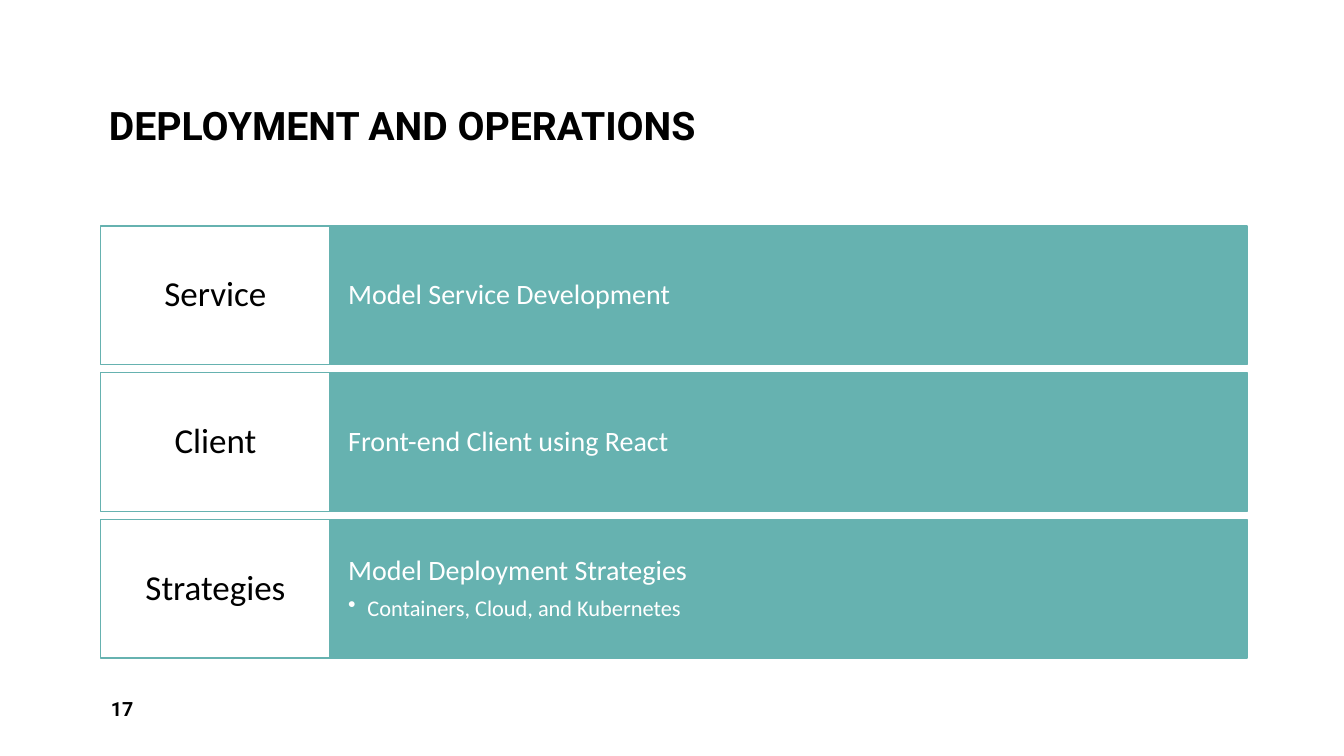
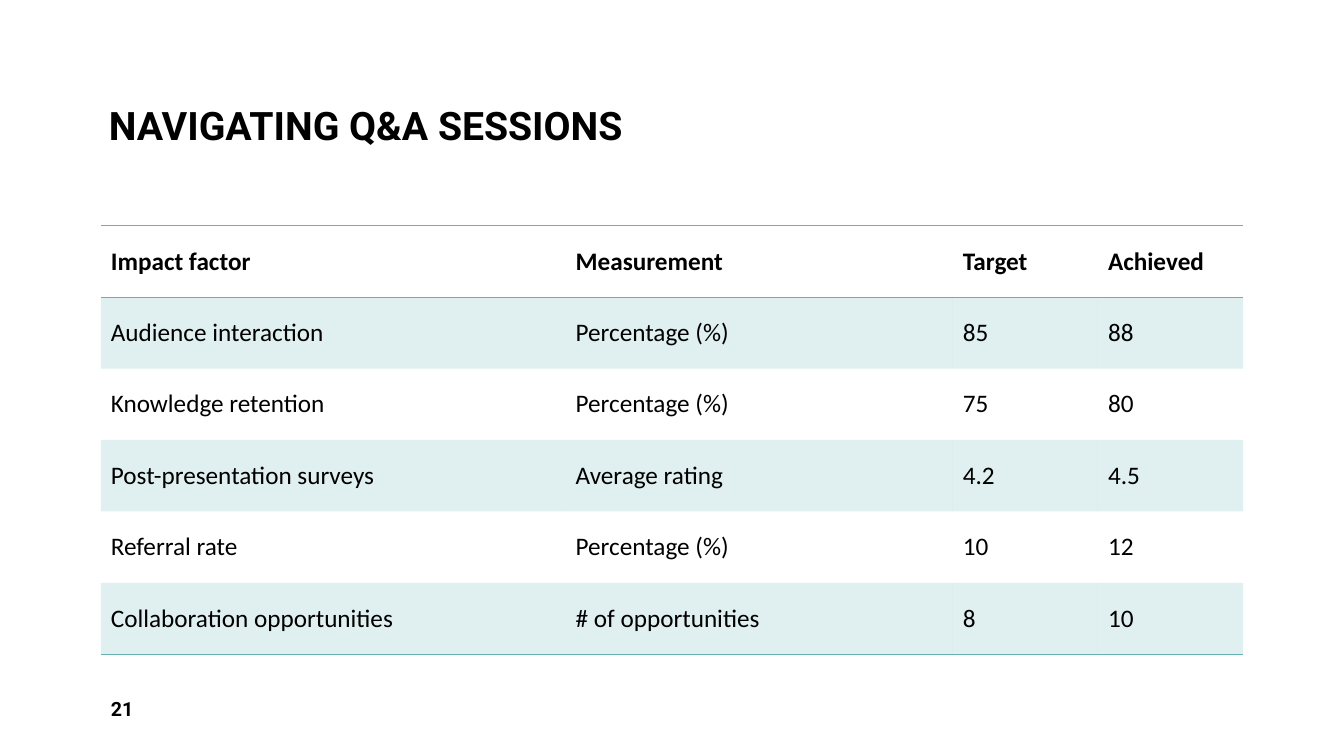
from dataclasses import dataclass

from lxml import etree
from pptx import Presentation
from pptx.dml.color import RGBColor
from pptx.enum.shapes import MSO_SHAPE
from pptx.enum.text import MSO_ANCHOR, MSO_AUTO_SIZE, PP_ALIGN
from pptx.oxml.ns import qn
from pptx.util import Inches, Pt

RECTANGLE = MSO_SHAPE.RECTANGLE
MIDDLE, BOTTOM = MSO_ANCHOR.MIDDLE, MSO_ANCHOR.BOTTOM
LEFT, CENTER = PP_ALIGN.LEFT, PP_ALIGN.CENTER
NO_GRID_STYLE = "{2D5ABB26-0587-4C30-8999-92F81FD0307C}"


@dataclass(frozen=True)
class Theme:
    teal: RGBColor = RGBColor(0x66, 0xB2, 0xB0)
    black: RGBColor = RGBColor(0, 0, 0)
    white: RGBColor = RGBColor(255, 255, 255)
    band_alpha: int = 20
    heading_font: str = "Roboto"
    body_font: str = "Calibri"
    title: int = 28
    label: int = 25
    topic: int = 20
    table: int = 18
    detail: int = 16
    number: int = 14
    line: int = 1


THEME = Theme()

# Body grid, in inches
MARGIN, TOP = 1, 2.24
BODY_WIDTH, BODY_HEIGHT = 11.37, 4.29
GAP = 0.08


def set_font(paragraph, size, color, name=THEME.body_font, bold=False):
    font = paragraph.font
    font.name, font.size, font.bold = name, Pt(size), bold
    font.color.rgb = color


def add_page(title, number):
    """Add a slide with its title and page number."""
    page = deck.slides.add_slide(deck.slide_layouts[5])
    heading = page.shapes.title
    heading.left, heading.top = Inches(0.98), Inches(0.08)
    heading.width, heading.height = Inches(11.38), Inches(1.45)
    footer = page.shapes.add_textbox(
        Inches(MARGIN), Inches(6.83), Inches(2.92), Inches(0.4))
    for box, text, size, anchor in (
            (heading, title, THEME.title, BOTTOM),
            (footer, number, THEME.number, MIDDLE)):
        frame = box.text_frame
        frame.text = text
        frame.word_wrap = True
        frame.auto_size = MSO_AUTO_SIZE.NONE
        frame.vertical_anchor = anchor
        para = frame.paragraphs[0]
        para.alignment = LEFT
        set_font(para, size, THEME.black, THEME.heading_font, True)
    heading.text_frame.paragraphs[0].line_spacing = 0.9
    return page


deck = Presentation()
deck.slide_width, deck.slide_height = Inches(13.33), Inches(7.5)

# Deployment: a label and its topic in each row
page = add_page("DEPLOYMENT AND OPERATIONS", "17")
stages = [
    ("Service", ["Model Service Development"]),
    ("Client", ["Front-end Client using React"]),
    ("Strategies", ["Model Deployment Strategies",
                    "Containers, Cloud, and Kubernetes"]),
]
row_height = (BODY_HEIGHT - GAP * (len(stages) - 1)) / len(stages)
label_width = BODY_WIDTH / 5
for row, (label, topics) in enumerate(stages):
    top = TOP + row * (row_height + GAP)
    panels = [
        (MARGIN + label_width, BODY_WIDTH - label_width, topics,
         THEME.teal, THEME.white, THEME.topic, LEFT, 0.18),
        (MARGIN, label_width, [label],
         THEME.white, THEME.black, THEME.label, CENTER, 0.12),
    ]
    for left, width, lines, fill, ink, size, alignment, inset in panels:
        box = page.shapes.add_shape(
            RECTANGLE, Inches(left), Inches(top),
            Inches(width), Inches(row_height))
        box.shadow.inherit = False
        box.fill.solid()
        box.fill.fore_color.rgb = fill
        box.line.color.rgb = THEME.teal
        box.line.width = Pt(THEME.line)
        frame = box.text_frame
        frame.word_wrap = True
        frame.vertical_anchor = MIDDLE
        frame.margin_left = frame.margin_right = Inches(inset)
        for level, line in enumerate(lines):
            para = frame.add_paragraph() if level else frame.paragraphs[0]
            para.text = line
            para.alignment = alignment
            para.line_spacing = 0.9
            if level:
                para.level = level
                para.space_before = Pt(0.35 * THEME.topic)
                props = para._p.get_or_add_pPr()
                props.set("marL", str(Inches(0.19)))
                props.set("indent", str(-Inches(0.19)))
                etree.SubElement(props, qn("a:buChar"), char="•")
            set_font(para, THEME.detail if level else size, ink)

# Q&A: results table
page = add_page("NAVIGATING Q&A SESSIONS", "21")
results = [
    ("Impact factor", "Measurement", "Target", "Achieved"),
    ("Audience interaction", "Percentage (%)", "85", "88"),
    ("Knowledge retention", "Percentage (%)", "75", "80"),
    ("Post-presentation surveys", "Average rating", "4.2", "4.5"),
    ("Referral rate", "Percentage (%)", "10", "12"),
    ("Collaboration opportunities", "# of opportunities", "8", "10"),
]
column_weights = (4.61, 3.84, 1.44, 1.44)
last_row = len(results) - 1
table = page.shapes.add_table(
    len(results), len(column_weights), Inches(MARGIN), Inches(TOP),
    Inches(sum(column_weights)), Inches(4.25)).table
table.horz_banding = False
table._tbl.tblPr.find(qn("a:tableStyleId")).text = NO_GRID_STYLE
for column, weight in zip(table.columns, column_weights):
    column.width = Inches(weight)

for row, values in enumerate(results):
    edges = {0: ("a:lnT", "a:lnB"), last_row: ("a:lnB",)}.get(row, ())
    for column, value in enumerate(values):
        cell = table.cell(row, column)
        cell.text = value
        cell.vertical_anchor = MIDDLE
        set_font(cell.text_frame.paragraphs[0], THEME.table, THEME.black,
                 bold=row == 0)
        props = cell._tc.get_or_add_tcPr()
        for edge in edges:
            line = etree.SubElement(props, qn(edge), w=str(Pt(THEME.line)))
            paint = etree.SubElement(line, qn("a:solidFill"))
            etree.SubElement(paint, qn("a:srgbClr"), val=str(THEME.teal))
        if row % 2:
            cell.fill.solid()
            cell.fill.fore_color.rgb = THEME.teal
            color = props.find(qn("a:solidFill")).find(qn("a:srgbClr"))
            etree.SubElement(color, qn("a:alpha"),
                             val=str(THEME.band_alpha * 1000))
        else:
            cell.fill.background()

deck.save("out.pptx")
